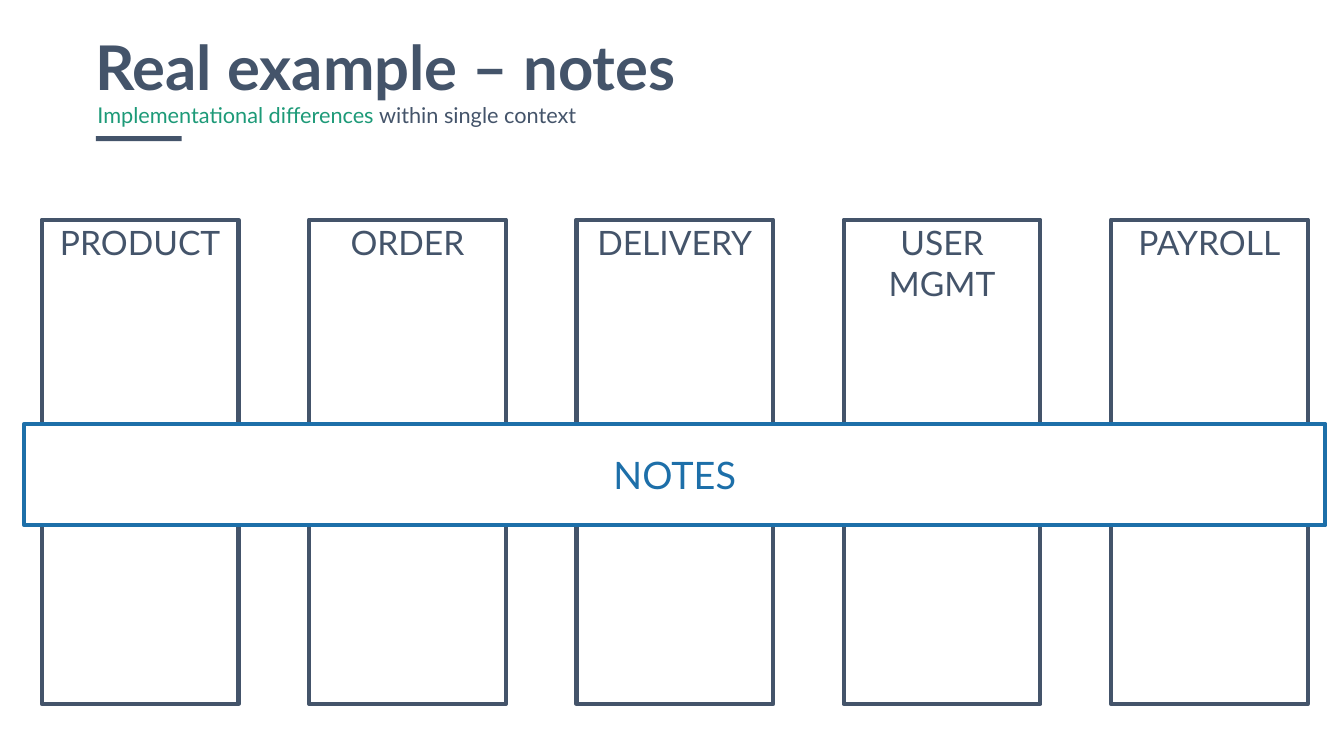
from dataclasses import dataclass

from pptx import Presentation
from pptx.dml.color import RGBColor
from pptx.enum.shapes import MSO_SHAPE as Shape
from pptx.enum.text import MSO_ANCHOR as Anchor, MSO_AUTO_SIZE as AutoSize, PP_ALIGN as Align
from pptx.util import Cm, Pt


@dataclass(frozen=True)
class Theme:
    font: str = "Lato"
    slate: RGBColor = RGBColor(0x44, 0x54, 0x6A)
    green: RGBColor = RGBColor(0x1D, 0x9A, 0x78)
    blue: RGBColor = RGBColor(0x1D, 0x6F, 0xA9)
    white: RGBColor = RGBColor(0xFF, 0xFF, 0xFF)
    title_size: Pt = Pt(88)
    subtitle_size: Pt = Pt(31)
    column_size: Pt = Pt(48)
    band_size: Pt = Pt(54)
    outline: Pt = Pt(6)


THEME = Theme()
CONTEXTS = ["PRODUCT", "ORDER", "DELIVERY", "USER MGMT", "PAYROLL"]


def style_font(font, size, color=None, bold=False):
    font.name = THEME.font
    font.size = size
    font.bold = bold
    if color is not None:
        font.color.rgb = color


def add_rectangle(slide, left, top, width, height, fill):
    shape = slide.shapes.add_shape(Shape.RECTANGLE, left, top, width, height)
    shape.shadow.inherit = False
    shape.fill.solid()
    shape.fill.fore_color.rgb = fill
    shape.line.fill.background()
    return shape


def add_labelled_box(slide, box, text, size, color, anchor):
    shape = add_rectangle(slide, *box, THEME.white)
    shape.line.color.rgb = color
    shape.line.width = THEME.outline
    frame = shape.text_frame
    frame.word_wrap = True
    frame.vertical_anchor = anchor
    paragraph = frame.paragraphs[0]
    paragraph.text = text
    paragraph.alignment = Align.CENTER
    style_font(paragraph.font, size, color)


def add_heading(slide, left, top, width):
    title = slide.shapes.title
    title.left, title.top, title.width, title.height = left, top, width, Cm(4.01)
    frame = title.text_frame
    frame.auto_size = AutoSize.NONE
    frame.word_wrap = True
    frame.vertical_anchor = Anchor.TOP
    paragraph = frame.paragraphs[0]
    paragraph.text = "Real example – notes"
    paragraph.alignment = Align.LEFT
    style_font(paragraph.font, THEME.title_size, THEME.slate, bold=True)

    subtitle = slide.shapes.add_textbox(left - Cm(0.25), top + Cm(3.2), Cm(26.52), Cm(2.06))
    frame = subtitle.text_frame
    frame.word_wrap = True
    frame.margin_left = frame.margin_right = Cm(0.61)
    frame.margin_top = frame.margin_bottom = Cm(0.3)
    paragraph = frame.paragraphs[0]
    paragraph.line_spacing = 1.2
    style_font(paragraph.font, THEME.subtitle_size)
    for text, color in [
        ("Implementational differences ", THEME.green),
        ("within single context", THEME.slate),
    ]:
        run = paragraph.add_run()
        run.text = text
        run.font.color.rgb = color

    add_rectangle(slide, left + Cm(0.28), top + Cm(5.51), Cm(4.32), Cm(0.25), THEME.slate)


def add_columns(slide, left, top, width, height):
    column_width = Cm(9.91)
    pitch = (width - column_width) // (len(CONTEXTS) - 1)
    for index, name in enumerate(CONTEXTS):
        box = (left + index * pitch, top, column_width, height)
        add_labelled_box(slide, box, name, THEME.column_size, THEME.slate, Anchor.TOP)


def add_notes_band(slide, left, top, width, height):
    box = (left, top, width, height)
    add_labelled_box(slide, box, "NOTES", THEME.band_size, THEME.blue, Anchor.MIDDLE)


def main():
    presentation = Presentation()
    presentation.slide_width = Cm(67.72)
    presentation.slide_height = Cm(38.1)
    slide = presentation.slides.add_slide(presentation.slide_layouts[5])
    add_heading(slide, Cm(4.55), Cm(1.35), Cm(31.55))
    add_columns(slide, Cm(2.11), Cm(11.07), Cm(63.78), Cm(24.41))
    add_notes_band(slide, Cm(1.22), Cm(21.36), Cm(65.56), Cm(5.11))
    presentation.save("out.pptx")


if __name__ == "__main__":
    main()
